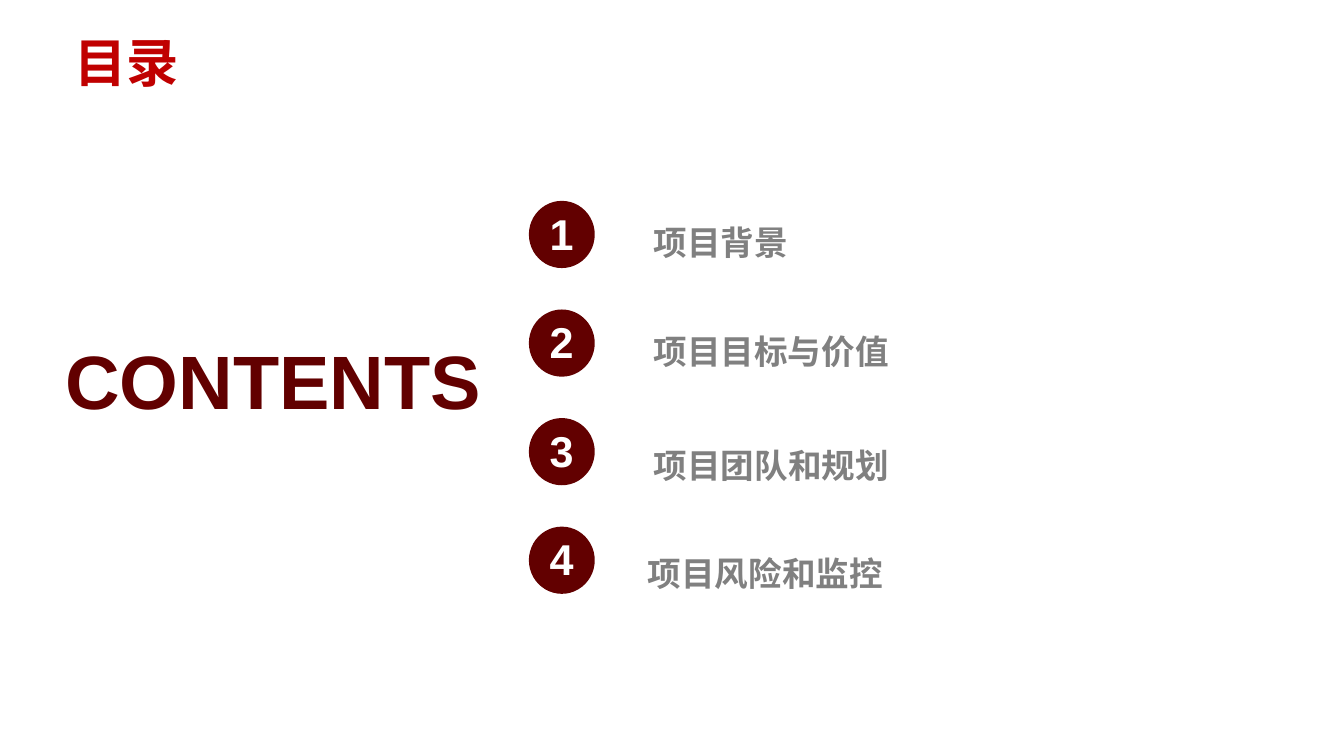
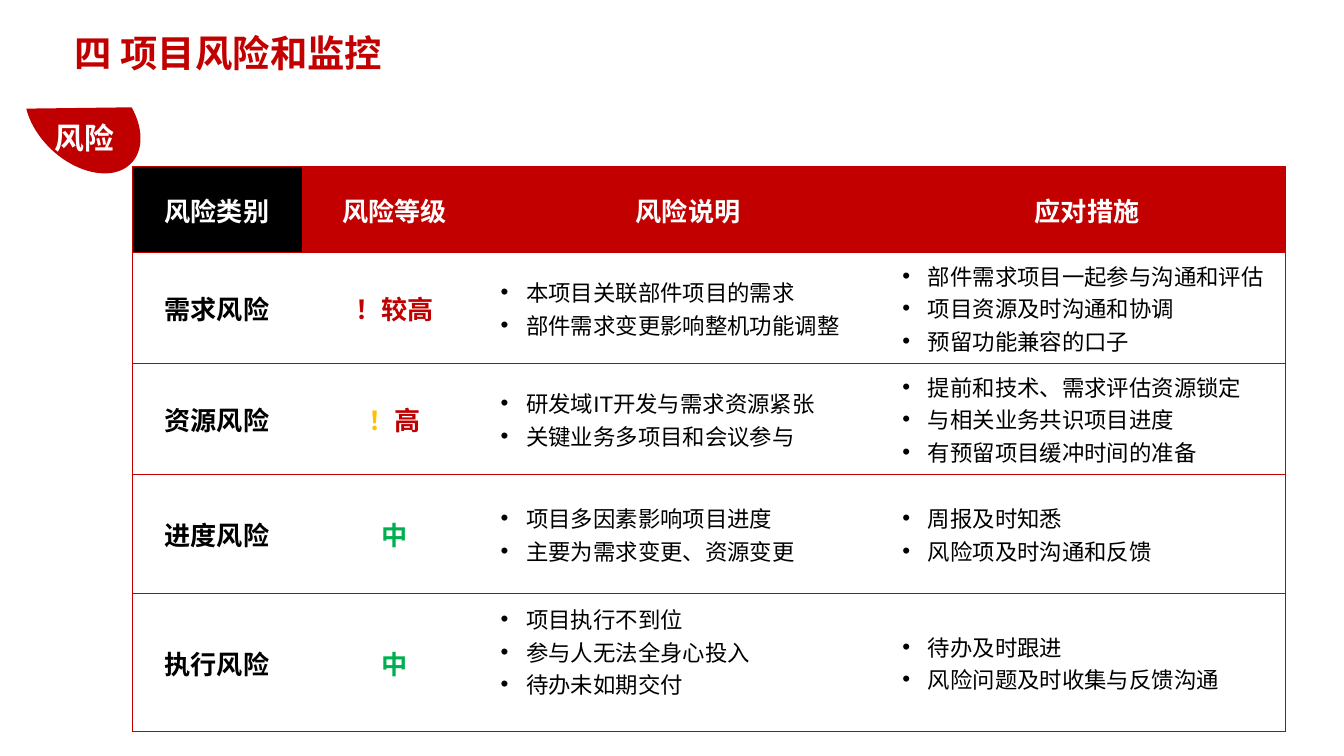
from lxml import etree
from pptx import Presentation
from pptx import util as u
from pptx.dml.color import RGBColor
from pptx.enum import lang, shapes, text
from pptx.oxml import ns

UNIT = u.Inches(0.1)  # one grid step: the slide is 100 by 56.25 steps
FONT = "Arial"
RED, CRIMSON, MAROON = "C00000", "C30000", "620000"
GREY, BLACK, WHITE = "808080", "000000", "FFFFFF"
AMBER, GREEN = "FFC000", "00B050"
LEFT, MID = text.PP_ALIGN.LEFT, text.PP_ALIGN.CENTER
TOP, CENTRE, BASE = (text.MSO_ANCHOR.TOP, text.MSO_ANCHOR.MIDDLE,
                     text.MSO_ANCHOR.BOTTOM)

# name, label box, anchor
TOPICS = [
    ("项目背景", (47.65, 15.2, 34.7, 4.8), BASE),
    ("项目目标与价值", (47.65, 24.15, 38.6, 4.9), TOP),
    ("项目团队和规划", (47.65, 31.3, 28.2, 5.3), BASE),
    ("项目风险和监控", (47.2, 39.35, 28.2, 5.3), BASE),
]
COLS = [12.6, 13.8, 29.9, 29.5]
ROWS = [6.4, 7.4, 7.4, 8.85, 10.3]
HEADS = ["风险类别", "风险等级", "风险说明", "应对措施"]
# kind, level runs, notes, actions
RISKS = [
    ("需求风险", [("！较高", RED)],
     ["本项目关联部件项目的需求", "部件需求变更影响整机功能调整"],
     ["部件需求项目一起参与沟通和评估", "项目资源及时沟通和协调", "预留功能兼容的口子"]),
    ("资源风险", [("！", AMBER), ("高", RED)],
     ["研发域IT开发与需求资源紧张", "关键业务多项目和会议参与"],
     ["提前和技术、需求评估资源锁定", "与相关业务共识项目进度", "有预留项目缓冲时间的准备"]),
    ("进度风险", [("中", GREEN)],
     ["项目多因素影响项目进度", "主要为需求变更、资源变更"],
     ["周报及时知悉", "风险项及时沟通和反馈"]),
    ("执行风险", [("中", GREEN)],
     ["项目执行不到位", "参与人无法全身心投入", "待办未如期交付"],
     ["待办及时跟进", "风险问题及时收集与反馈沟通"]),
]


def rgb(code):
    return RGBColor.from_string(code)


def grid(*steps):
    return [round(s * UNIT) for s in steps]


def write(para, words, size, color, bold=True, align=LEFT):
    para.alignment = align
    run = para.add_run()
    run.text = words
    font = run.font
    font.name, font.size, font.bold = FONT, u.Pt(size), bold
    font.color.rgb = rgb(color)
    font.language_id = lang.MSO_LANGUAGE_ID.SIMPLIFIED_CHINESE


def label(home, words, box, size, color, align=LEFT, anchor=TOP, wrap=True,
          inset=None):
    frame = home.add_textbox(*grid(*box)).text_frame
    frame.word_wrap = wrap
    frame.vertical_anchor = anchor
    if inset:
        frame.margin_left = frame.margin_right = u.Inches(inset[0])
        frame.margin_top = frame.margin_bottom = u.Inches(inset[1])
    write(frame.paragraphs[0], words, size, color, align=align)


def solid(home, kind, box, color):
    shape = home.add_shape(kind, *grid(*box))
    shape.shadow.inherit = False
    shape.fill.solid()
    shape.fill.fore_color.rgb = rgb(color)
    shape.line.fill.background()
    return shape


def page(deck, words, size, color):
    slide = deck.slides.add_slide(deck.slide_layouts[5])
    title = slide.shapes.title
    title.left, title.top, title.width, title.height = grid(4.55, 1.75, 72.6, 5.9)
    frame = title.text_frame
    frame.auto_size = text.MSO_AUTO_SIZE.NONE
    frame.vertical_anchor = TOP
    write(frame.paragraphs[0], words, size, color)
    return slide


def frame_cell(cell, sides):
    """Rule the named sides of a cell and leave the others bare."""
    props = cell._tc.get_or_add_tcPr()
    for spot, side in enumerate("LRTB"):
        line = etree.Element(ns.qn("a:ln" + side), w=str(u.Pt(0.5)))
        if side in sides:
            ink = etree.SubElement(line, ns.qn("a:solidFill"))
            etree.SubElement(ink, ns.qn("a:srgbClr"), val=CRIMSON)
        else:
            etree.SubElement(line, ns.qn("a:noFill"))
        props.insert(spot, line)


def bullet(para):
    props = para._p.get_or_add_pPr()
    hang = u.Inches(0.19)
    props.set("marL", str(hang))
    props.set("indent", str(-hang))
    etree.SubElement(props, ns.qn("a:buFont"), typeface=FONT)
    etree.SubElement(props, ns.qn("a:buChar"), char="•")


def head(cell, runs):
    for words, color in runs:
        write(cell.text_frame.paragraphs[0], words, 14, color, align=MID)


def points(cell, items):
    frame = cell.text_frame
    for i, item in enumerate(items):
        para = frame.add_paragraph() if i else frame.paragraphs[0]
        write(para, item, 12, BLACK, bold=False)
        bullet(para)


def risks(slide):
    box = grid(9.85, 12.4, sum(COLS), sum(ROWS))
    table = slide.shapes.add_table(len(ROWS), len(COLS), *box).table
    table.horz_banding = False
    for col, width in zip(table.columns, grid(*COLS)):
        col.width = width
    for row, height in zip(table.rows, grid(*ROWS)):
        row.height = height
    for r in range(len(ROWS)):
        for c in range(len(COLS)):
            cell = table.cell(r, c)
            cell.vertical_anchor = CENTRE
            if r:
                cell.fill.background()
            else:
                cell.fill.solid()
                cell.fill.fore_color.rgb = rgb(CRIMSON if c else BLACK)
            ends = {0: "L", len(COLS) - 1: "R"}
            frame_cell(cell, "TB" + ends.get(c, ""))
    for c, words in enumerate(HEADS):
        head(table.cell(0, c), [(words, WHITE)])
    for r, (kind, level, notes, acts) in enumerate(RISKS, 1):
        head(table.cell(r, 0), [(kind, BLACK)])
        head(table.cell(r, 1), level)
        points(table.cell(r, 2), notes)
        points(table.cell(r, 3), acts)
    table.cell(len(RISKS), 2).margin_bottom = u.Inches(0.22)


def badge(slide):
    home = slide.shapes.add_group_shape().shapes
    leaf = solid(home, shapes.MSO_SHAPE.CHORD, (2.8, 3.7, 6.7, 10), RED)
    leaf.rotation = 313
    leaf.adjustments[0], leaf.adjustments[1] = 21.54, 141.25
    label(home, "风险", (3.1, 8.4, 7.5, 3.7), 16, WHITE)


def contents(deck):
    home = page(deck, "目录", 28, RED).shapes
    label(home, "CONTENTS", (3.7, 24.35, 33.3, 7.6), 40.5, MAROON, MID,
          wrap=False)
    for i, (words, box, anchor) in enumerate(TOPICS):
        top = 14.95 + 8.08 * i
        solid(home, shapes.MSO_SHAPE.OVAL, (39.35, top, 4.9, 5), MAROON)
        label(home, str(i + 1), (40.1, top + 0.05, 3.4, 5), 23.1, WHITE, MID,
              inset=(0.07, 0.04))
        label(home, words, box, 18, GREY, anchor=anchor)


def main():
    deck = Presentation()
    deck.slide_width, deck.slide_height = grid(100, 56.25)
    contents(deck)
    slide = page(deck, "四 项目风险和监控", 20, CRIMSON)
    risks(slide)
    badge(slide)
    deck.save("out.pptx")


if __name__ == "__main__":
    main()
